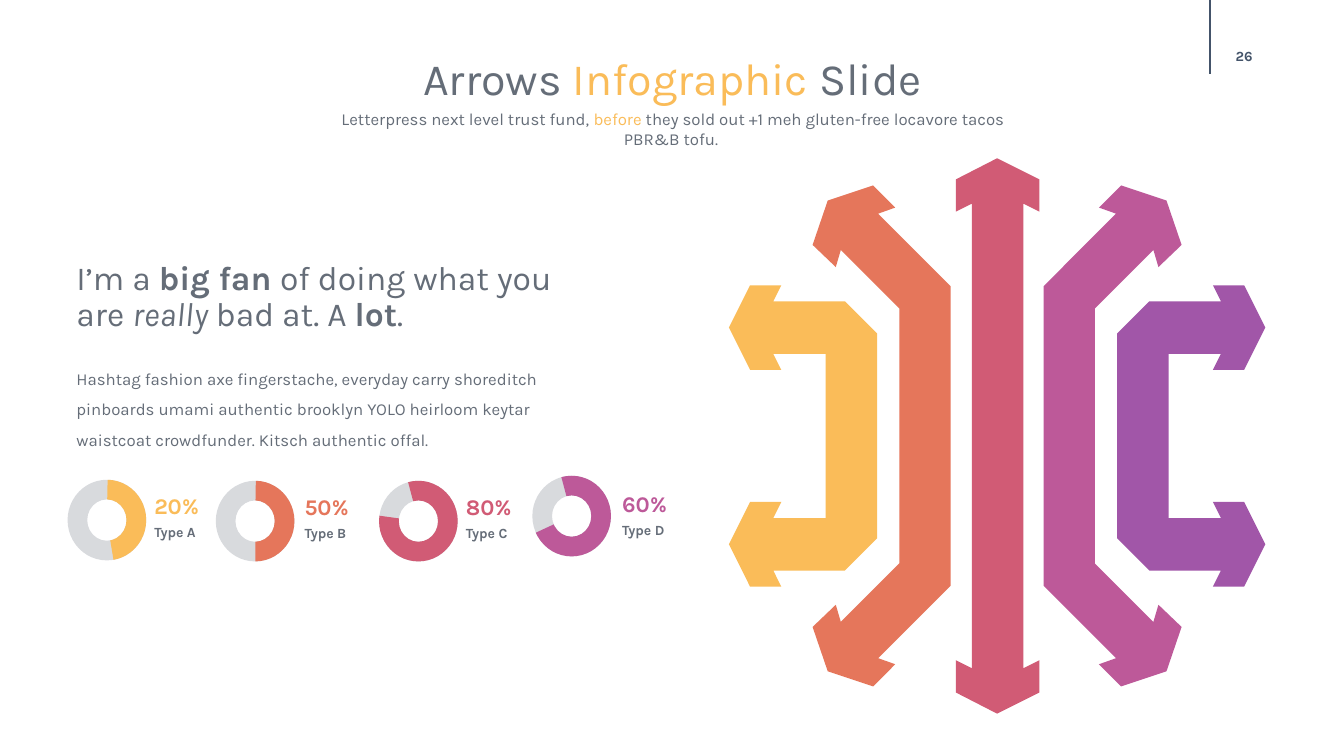
from lxml import etree
from pptx import Presentation
from pptx import util as u
from pptx.dml.color import RGBColor
from pptx.enum import shapes, text
from pptx.oxml.ns import qn

PX = u.Inches(1) // 100
FONT = "Karla"
GREY = RGBColor(0x65, 0x6D, 0x78)
SLATE = RGBColor(0x44, 0x54, 0x6A)
RING = RGBColor(0xD8, 0xDA, 0xDD)
YELLOW = RGBColor(0xFA, 0xBC, 0x59)
ORANGE = RGBColor(0xE5, 0x76, 0x5B)
RED = RGBColor(0xD1, 0x5B, 0x75)
PINK = RGBColor(0xBD, 0x59, 0x99)
PURPLE = RGBColor(0xA1, 0x56, 0xA8)

# Sums of mirrored coordinates: left + right, top + bottom
MIRROR_X, MIRROR_Y = 1978, 865

# Upper halves of the double-headed arrows
BRACKET = [(1108, 331), (1140, 299), (1211, 299), (1203, 283), (1234, 283),
           (1255, 325), (1234, 367), (1203, 367), (1211, 351), (1159, 351)]
DIAGONAL = [(1035, 284), (1107, 212), (1090, 206), (1112, 184), (1157, 199),
            (1172, 243), (1149, 265), (1144, 248), (1086, 306)]
STRAIGHT = [(964, 202), (948, 210), (948, 178), (989, 157),
            (1031, 178), (1031, 210), (1015, 202)]

# Ring x and y, label x and y, share, type, colour, arc start and end in degrees
GAUGES = [
    (67, 476, 153, 491, "20%", "Type A", YELLOW, 271.06, 80.55),
    (214, 477, 302, 492, "50%", "Type B", ORANGE, 271.06, 89.44),
    (376, 477, 462, 492, "80%", "Type C", RED, 255.23, 187.88),
    (528, 472, 617, 489, "60%", "Type D", PINK, 255.23, 155.07),
]


def px(*lengths):
    return [length * PX for length in lengths]


def add_text(parent, place, content, size, color=GREY, bold=False, align=None,
             spacing=None, before=None, inset=True, middle=False, grow=False):
    """Add a text box; content is a string or a list of (text, format) spans."""
    box = parent.shapes.add_textbox(*px(*place))
    frame = box.text_frame
    frame.word_wrap = True
    if grow:
        frame.auto_size = text.MSO_AUTO_SIZE.SHAPE_TO_FIT_TEXT
    if middle:
        frame.vertical_anchor = text.MSO_ANCHOR.MIDDLE
    if not inset:
        frame.margin_left = frame.margin_right = 0
        frame.margin_top = frame.margin_bottom = 0
    para = frame.paragraphs[0]
    para.alignment = align
    para.line_spacing = spacing
    if before:
        para.space_before = u.Pt(before)
    spans = [(content, {})] if isinstance(content, str) else content
    for words, style in spans:
        span = para.add_run()
        span.text = words
        span.font.name = FONT
        span.font.size = u.Pt(size)
        span.font.bold = style.get("bold", bold)
        span.font.italic = style.get("italic", False)
        span.font.color.rgb = style.get("color", color)


def paint(shape, color):
    shape.shadow.inherit = False
    shape.fill.solid()
    shape.fill.fore_color.rgb = color
    shape.line.fill.background()


def add_arrow(parent, upper_half, color, flip=False):
    """Draw an arrow from its upper half, optionally flipped left to right."""
    points = upper_half + [(x, MIRROR_Y - y) for x, y in reversed(upper_half)]
    if flip:
        points = [(MIRROR_X - x, y) for x, y in points]
    outline = parent.shapes.build_freeform(*points[0], scale=PX)
    outline.add_line_segments(points[1:], close=True)
    paint(outline.convert_to_shape(), color)


def add_gauge(page, x, y, label_x, label_y, share, kind, color, start, end):
    group = page.shapes.add_group_shape()
    place = px(x, y, 78, 80)
    ring = group.shapes.add_shape(shapes.MSO_SHAPE.DONUT, *place)
    paint(ring, RING)
    arc = group.shapes.add_shape(shapes.MSO_SHAPE.BLOCK_ARC, *place)
    paint(arc, color)
    # Angles are stored in 60000ths of a degree, adjustments in 100000ths
    arc.adjustments[0] = start * 0.6
    arc.adjustments[1] = end * 0.6
    arc.adjustments[2] = 0.25
    label = dict(bold=True, spacing=0.9, before=7.5, inset=False)
    add_text(group, (label_x, label_y, 49, 29), share, 16, color=color, **label)
    add_text(group, (label_x, label_y + 30, 49, 23), kind, 10, **label)


def add_rule(page, start, end, color):
    rule = page.shapes.add_connector(
        shapes.MSO_CONNECTOR.STRAIGHT, *px(*start, *end))
    rule.line.color.rgb = color
    rule.line.width = u.Pt(1)
    etree.SubElement(rule._element.spPr, qn("a:effectLst"))


def main():
    deck = Presentation()
    deck.slide_width, deck.slide_height = px(1333, 750)
    page = deck.slides.add_slide(deck.slide_layouts[6])
    center = text.PP_ALIGN.CENTER
    accent = {"color": YELLOW}
    strong = {"bold": True}

    add_rule(page, (1200, 0), (1200, 73), SLATE)
    add_text(page, (1194, 36, 80, 40), "26", 10, color=SLATE, bold=True,
             align=center, inset=False, middle=True)
    add_text(page, (254, 45, 826, 64),
             [("Arrows ", {}), ("Infographic ", accent), ("Slide", {})],
             32, align=center, grow=True)
    add_text(page, (320, 103, 695, 30),
             [("Letterpress next level trust fund, ", {}), ("before", accent),
              (" they sold out +1 meh gluten-free locavore tacos PBR&B tofu. ", {})],
             12, align=center, grow=True)

    arrows = page.shapes.add_group_shape()
    add_arrow(arrows, BRACKET, PURPLE)
    add_arrow(arrows, STRAIGHT, RED)
    add_arrow(arrows, DIAGONAL, PINK)
    add_arrow(arrows, BRACKET, YELLOW, flip=True)
    add_arrow(arrows, DIAGONAL, ORANGE, flip=True)

    add_text(page, (66, 254, 546, 83),
             [("I’m a ", {}), ("big fan ", strong), ("of doing what you are ", {}),
              ("really", {"italic": True}), (" bad at. A ", {}),
              ("lot", strong), (".", {})],
             24, spacing=0.9, grow=True)
    add_text(page, (66, 351, 532, 101),
             "Hashtag fashion axe fingerstache, everyday carry shoreditch "
             "pinboards umami authentic brooklyn YOLO heirloom keytar "
             "waistcoat crowdfunder. Kitsch authentic offal.",
             12, spacing=1.5, grow=True)
    for gauge in GAUGES:
        add_gauge(page, *gauge)

    deck.save("out.pptx")


if __name__ == "__main__":
    main()
